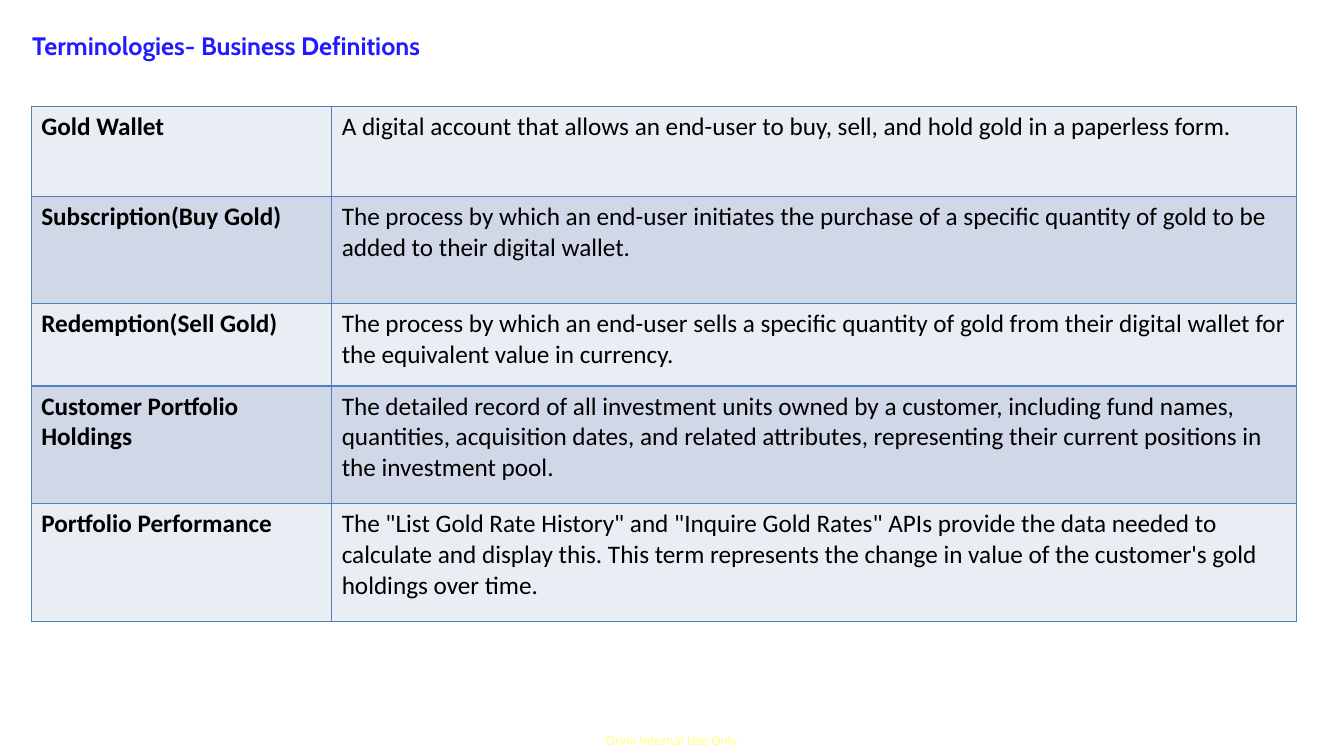
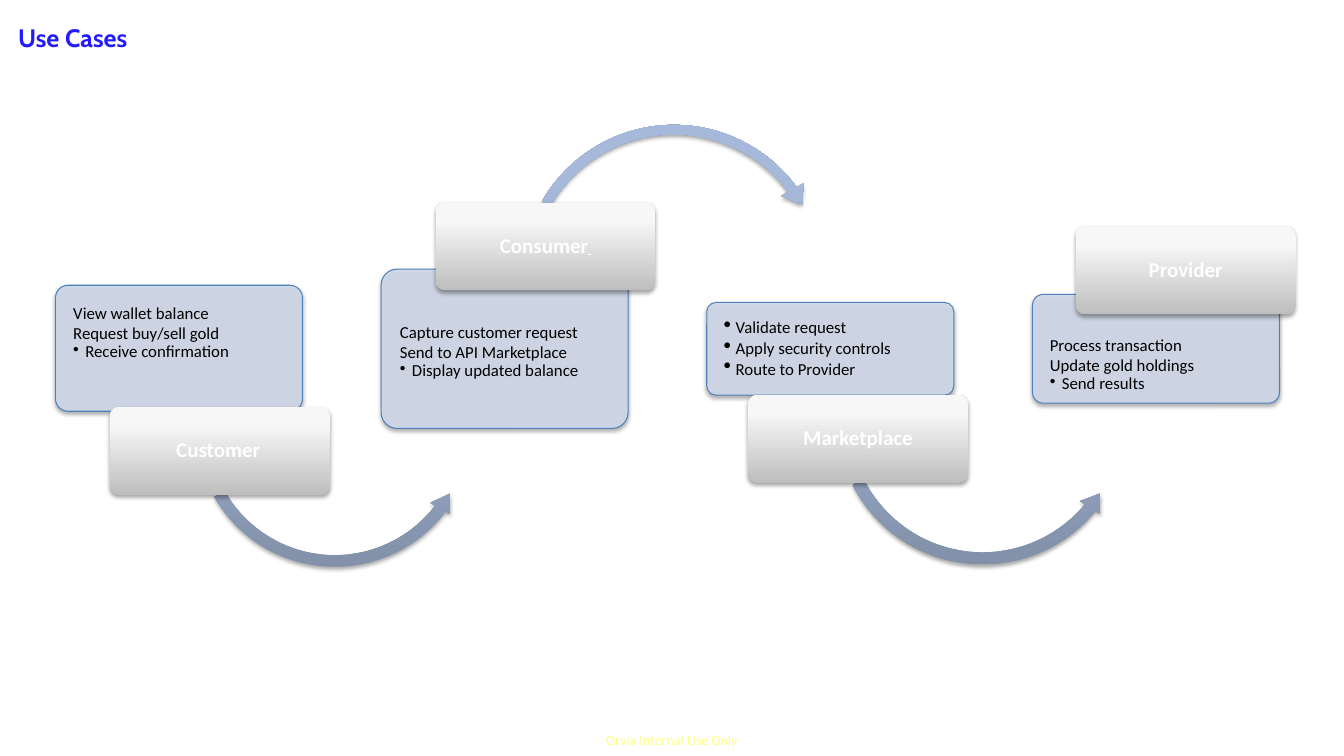
from dataclasses import dataclass

from lxml.etree import SubElement
from pptx import Presentation
from pptx.dml.color import RGBColor
from pptx.enum.shapes import MSO_SHAPE as Preset
from pptx.enum.text import MSO_ANCHOR as Anchor, PP_ALIGN as Align
from pptx.oxml.ns import qn
from pptx.util import Inches, Pt


@dataclass(frozen=True)
class Theme:
    title: str = "221BFF"
    footer: str = "FFFF00"
    ink: str = "000000"
    paper: str = "FFFFFF"
    border: str = "4F81BD"
    bands: tuple = ("E9EDF4", "D0D8E8")
    card: str = "D0D8E8"
    arrow: tuple = ((0, "818FA8"), (80, "A7B9DA"), (100, "A7BADC"))
    label: tuple = ((0, "BEBEBE"), (80, "F7F7F7"), (100, "F8F8F8"))
    heading_font: str = "Cabin"
    body_font: str = "Calibri"
    large: int = 18
    medium: int = 15
    small: int = 12
    tiny: int = 10


THEME = Theme()
FOOTER = "Orvia Internal Use Only"

DEFINITIONS = [
    ("Gold Wallet", 0.89,
     "A digital account that allows an end-user to buy, sell, and hold gold in a paperless form."),
    ("Subscription(Buy Gold)", 1.06,
     "The process by which an end-user initiates the purchase of a specific quantity of gold "
     "to be added to their digital wallet."),
    ("Redemption(Sell Gold)", 0.82,
     "The process by which an end-user sells a specific quantity of gold from their digital "
     "wallet for the equivalent value in currency."),
    ("Customer Portfolio Holdings", 1.17,
     "The detailed record of all investment units owned by a customer, including fund names, "
     "quantities, acquisition dates, and related attributes, representing their current "
     "positions in the investment pool."),
    ("Portfolio Performance", 1.17,
     'The "List Gold Rate History" and "Inquire Gold Rates" APIs provide the data needed to '
     "calculate and display this. This term represents the change in value of the customer's "
     "gold holdings over time."),
]

STAGES = [
    {"name": "Customer", "steps": ["View wallet balance", "Request buy/sell gold",
                                   "Receive confirmation"],
     "top": 2.83, "height": 1.25, "label": (1.09, 4.04), "tail": {"size": Pt(10)},
     "arrow": (Preset.LEFT_CIRCULAR_ARROW, 1.89, 2.82, 2.86,
               (0.04, 4.61, 22.32, 90.2, 0.04))},
    {"name": "Consumer", "steps": ["Capture customer request", "Send to API Marketplace",
                                   "Display updated balance"],
     "top": 2.67, "height": 1.58, "label": (4.32, 2.01),
     "tail": {"size": Pt(9), "underline": True},
     "arrow": (Preset.CIRCULAR_ARROW, 5.1, 1.16, 3.17,
               (0.03, 4.12, 194.23, 125.86, 0.04))},
    {"name": "Marketplace", "steps": ["Validate request", "Apply security controls",
                                      "Route to Provider"],
     "top": 3, "height": 0.92, "label": (7.42, 3.92), "all_bulleted": True,
     "arrow": (Preset.LEFT_CIRCULAR_ARROW, 8.24, 2.65, 3.01,
               (0.04, 4.36, 23.71, 91.84, 0.04))},
    {"name": "Provider", "steps": ["Process transaction", "Update gold holdings",
                                   "Send results"],
     "top": 2.92, "height": 1.08, "label": (10.67, 2.25)},
]


def assign(target, values):
    for name, value in values.items():
        setattr(target, name, value)


def child(parent, tag, **attributes):
    element = SubElement(parent, qn(tag))
    for name, value in attributes.items():
        element.set(name, str(value))
    return element


def set_alpha(element, percent):
    child(next(element.iter(qn("a:srgbClr"))), "a:alpha", val=percent * 1000)


def add_span(para, text, color, **values):
    span = para.add_run()
    span.text = text
    assign(span.font, {"name": THEME.body_font, **values})
    span.font.color.rgb = RGBColor.from_string(color)
    return span


def set_frame(frame, insets, anchor=Anchor.TOP, wrap=True):
    sides = ("margin_left", "margin_top", "margin_right", "margin_bottom")
    assign(frame, {side: Inches(inset) for side, inset in zip(sides, insets)})
    assign(frame, {"word_wrap": wrap, "vertical_anchor": anchor})


def add_text(page, box, text, color, wrap=True, **values):
    shape = page.shapes.add_textbox(*map(Inches, box))
    set_frame(shape.text_frame, (0, 0, 0, 0), wrap=wrap)
    return add_span(shape.text_frame.paragraphs[0], text, color, **values)


def add_page(deck, title, left, top):
    page = deck.slides.add_slide(deck.slide_layouts[6])
    footer = add_text(page, (6.01, 7.26, 1.34, 0.17), FOOTER, THEME.footer,
                      wrap=False, size=Pt(THEME.tiny))
    set_alpha(footer.font._element, 50)
    add_text(page, (left, top, 10.9, 0.32), title, THEME.title,
             name=THEME.heading_font, size=Pt(THEME.large), bold=True)
    return page


def fill_cell(cell, text, fill, bold):
    properties = cell._tc.get_or_add_tcPr()
    for side in ("a:lnL", "a:lnR", "a:lnT", "a:lnB"):
        line = child(properties, side, w=Pt(1))
        child(child(line, "a:solidFill"), "a:srgbClr", val=THEME.border)
    cell.fill.solid()
    cell.fill.fore_color.rgb = RGBColor.from_string(fill)
    add_span(cell.text_frame.paragraphs[0], text, THEME.ink, size=Pt(THEME.large), bold=bold)


def add_definitions(page, left, top, widths):
    height = sum(row_height for _, row_height, _ in DEFINITIONS)
    box = map(Inches, (left, top, sum(widths), height))
    table = page.shapes.add_table(len(DEFINITIONS), len(widths), *box).table
    assign(table, {"first_row": False, "horz_banding": False})
    for column, width in zip(table.columns, widths):
        column.width = Inches(width)
    for index, (term, row_height, meaning) in enumerate(DEFINITIONS):
        table.rows[index].height = Inches(row_height)
        fill = THEME.bands[index % 2]
        fill_cell(table.cell(index, 0), term, fill, True)
        fill_cell(table.cell(index, 1), meaning, fill, False)


def add_raised(page, preset, box, adjustments):
    shape = page.shapes.add_shape(preset, *map(Inches, box))
    for index, value in enumerate(adjustments):
        shape.adjustments[index] = value
    shape.line.fill.background()
    shape.shadow.inherit = False
    shadow = child(shape._element.spPr.find(qn("a:effectLst")), "a:outerShdw",
                   blurRad=Pt(3.1), dist=Pt(1.8), dir=90 * 60000, rotWithShape=0)
    child(child(shadow, "a:srgbClr", val="000000"), "a:alpha", val=35000)
    return shape


def fill_gradient(shape, stops):
    shape.fill.gradient()
    shape.fill.gradient_angle = 90
    stop_list = next(shape._element.spPr.iter(qn("a:gsLst")))
    for stop in list(stop_list):
        stop_list.remove(stop)
    for position, color in stops:
        child(child(stop_list, "a:gs", pos=position * 1000), "a:srgbClr", val=color)


def add_bullet(para, size):
    properties = para._p.get_or_add_pPr()
    properties.set("marL", str(Inches(0.12)))
    properties.set("indent", str(Inches(-0.12)))
    child(properties, "a:buSzPct", val=size * 1000)
    child(properties, "a:buChar", char="•")
    assign(para, {"line_spacing": 0.9, "space_after": Pt(1.8)})


def add_card(page, box, steps, label_above, all_bulleted):
    card = add_raised(page, Preset.ROUNDED_RECTANGLE, box, (0.1,))
    card.fill.solid()
    card.fill.fore_color.rgb = RGBColor.from_string(THEME.card)
    set_alpha(card._element.spPr, 90)
    card.line.color.rgb = RGBColor.from_string(THEME.border)
    card.line.width = Pt(0.75)
    inset = 0.14
    drop = box[3] * 3 / 14 if label_above else 0
    frame = card.text_frame
    set_frame(frame, (inset, inset + drop, inset, 0))
    for index, step in enumerate(steps):
        para = frame.add_paragraph() if index else frame.paragraphs[0]
        para.alignment = Align.LEFT
        if all_bulleted or index == len(steps) - 1:
            add_bullet(para, 130 if all_bulleted else 100)
        add_span(para, step, THEME.ink, size=Pt(THEME.small))


def add_label(page, left, top, name, tail):
    label = add_raised(page, Preset.ROUNDED_RECTANGLE, (left, top, 2.18, 0.87), (0.1,))
    fill_gradient(label, THEME.label)
    set_frame(label.text_frame, (0.03, 0.02, 0.03, 0.02), Anchor.MIDDLE)
    para = label.text_frame.paragraphs[0]
    assign(para, {"alignment": Align.CENTER, "line_spacing": 0.9})
    add_span(para, name, THEME.paper, size=Pt(THEME.medium), bold=True)
    if tail:
        add_span(para, " ", THEME.paper, **tail)


def add_stage(page, left, stage):
    label_left, label_top = stage["label"]
    add_card(page, (left, stage["top"], 2.45, stage["height"]), stage["steps"],
             label_top < stage["top"], stage.get("all_bulleted", False))
    if "arrow" in stage:
        preset, arrow_left, arrow_top, size, adjustments = stage["arrow"]
        arrow = add_raised(page, preset, (arrow_left, arrow_top, size, size), adjustments)
        fill_gradient(arrow, THEME.arrow)
    add_label(page, label_left, label_top, stage["name"], stage.get("tail"))


def build_definitions(deck):
    page = add_page(deck, "Terminologies- Business Definitions", 0.32, 0.3)
    add_definitions(page, 0.31, 1.06, (2.98, 9.57))


def build_use_cases(deck):
    page = add_page(deck, "Use Cases", 0.18, 0.22)
    for index, stage in enumerate(STAGES):
        add_stage(page, 0.55 + 3.23 * index, stage)


def main():
    deck = Presentation()
    assign(deck, {"slide_width": Inches(13.33), "slide_height": Inches(7.5)})
    build_definitions(deck)
    build_use_cases(deck)
    deck.save("out.pptx")


if __name__ == "__main__":
    main()
